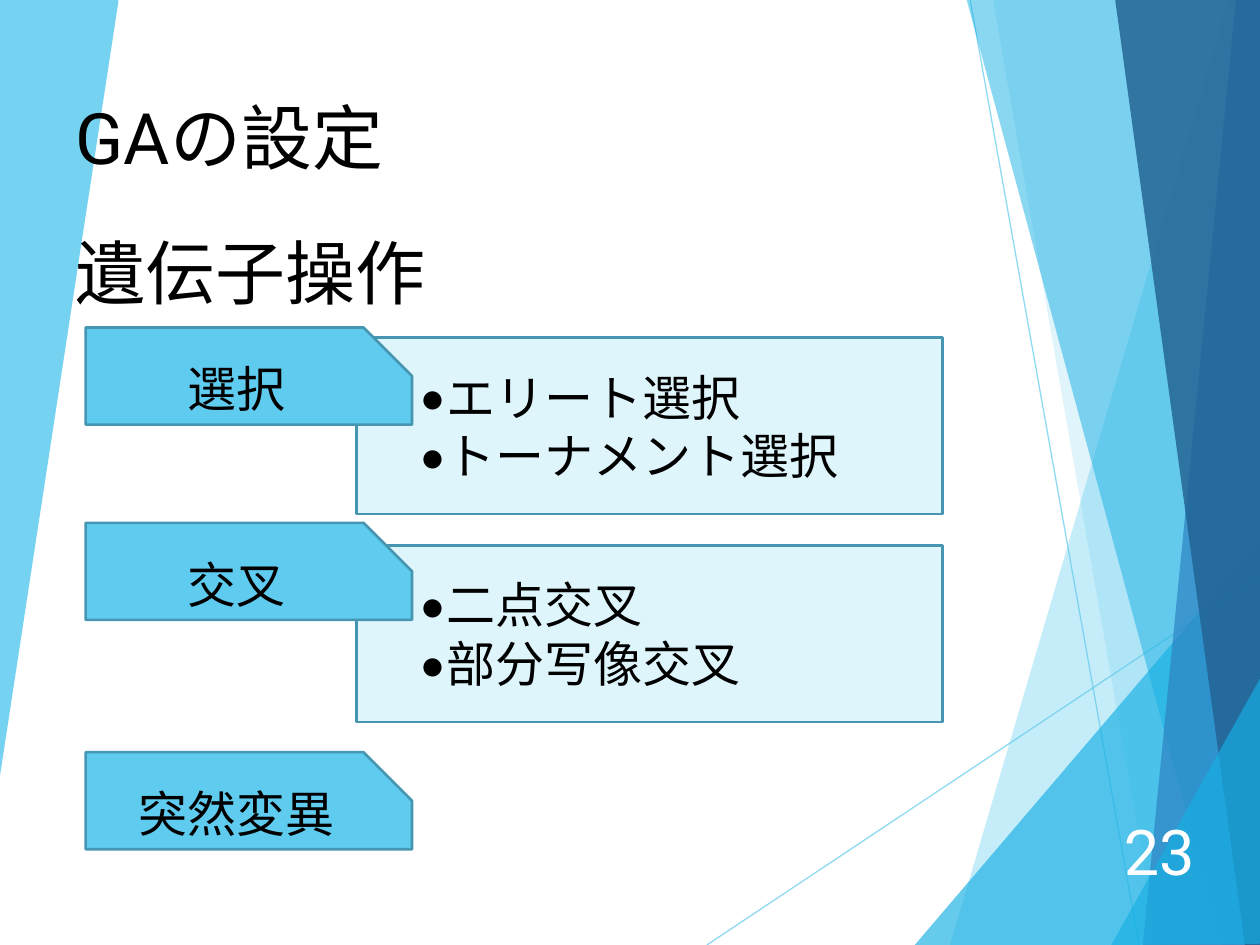
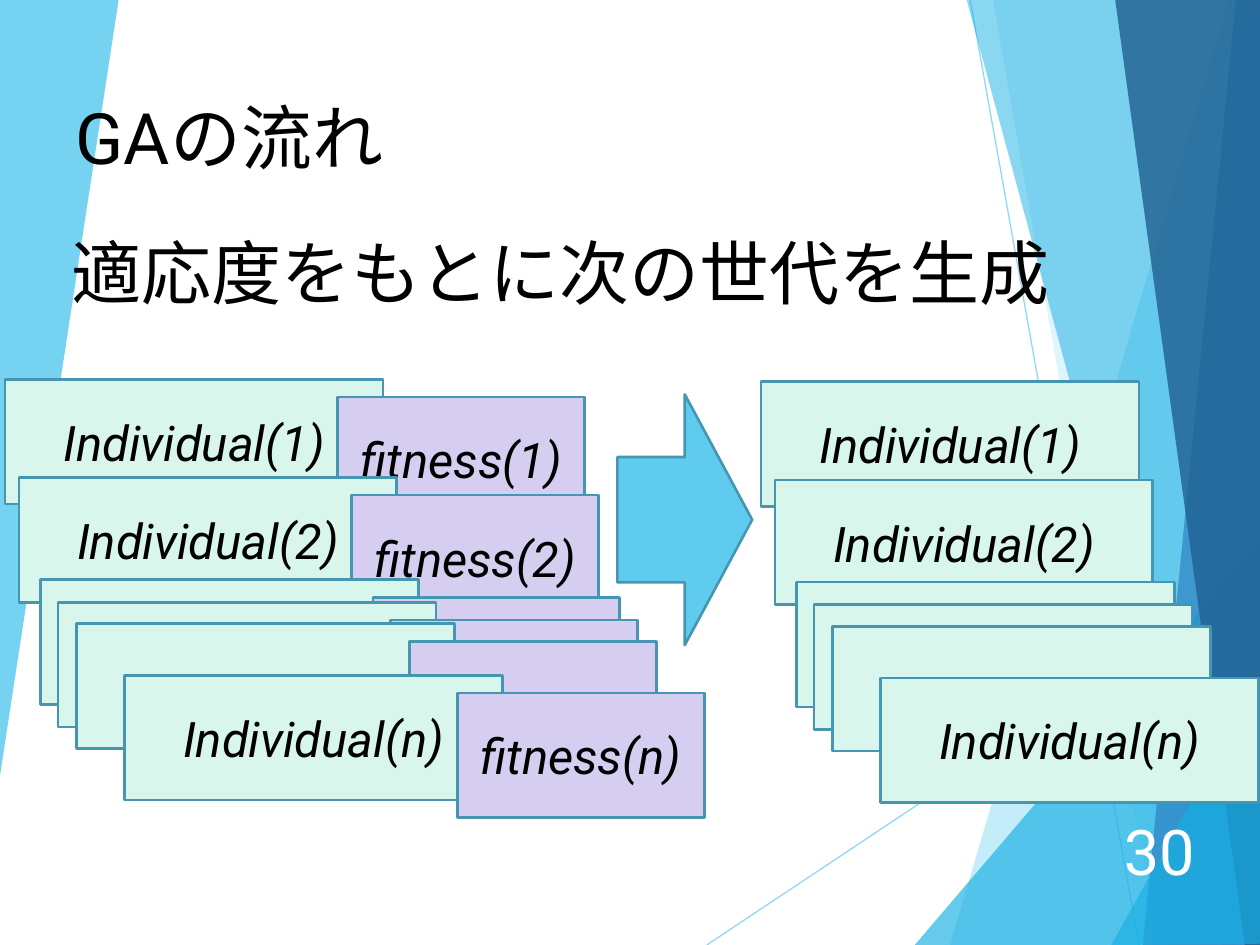
from dataclasses import dataclass
from typing import NamedTuple

from lxml.etree import SubElement
from pptx import Presentation
from pptx.dml.color import RGBColor
from pptx.enum.shapes import MSO_CONNECTOR, MSO_SHAPE
from pptx.enum.text import MSO_ANCHOR, MSO_AUTO_SIZE, PP_ALIGN
from pptx.oxml.ns import qn
from pptx.util import Inches, Pt

LEFT, CENTER, RIGHT = PP_ALIGN.LEFT, PP_ALIGN.CENTER, PP_ALIGN.RIGHT
TOP, MIDDLE = MSO_ANCHOR.TOP, MSO_ANCHOR.MIDDLE
RECT, SNIP, ARROW = MSO_SHAPE.RECTANGLE, MSO_SHAPE.SNIP_1_RECTANGLE, MSO_SHAPE.RIGHT_ARROW
STRAIGHT = MSO_CONNECTOR.STRAIGHT
TWO_LISTS, TITLE_ONLY = 3, 5


@dataclass(frozen=True)
class Theme:
    ink: str = "000000"
    white: str = "FFFFFF"
    sky: str = "5FCBEF"
    cyan: str = "17B0E4"
    blue: str = "2E83C3"
    navy: str = "226292"
    edge: str = "4696B1"
    pale: str = "DFF5FC"
    mint: str = "D9F6EC"
    lilac: str = "D5CEF0"
    font: str = "Roboto"
    list_font: str = "Lato"
    title: float = 40.5
    head: float = 40
    page: float = 36
    body: float = 28


THEME = Theme()


class Box(NamedTuple):
    x: float
    y: float
    w: float
    h: float


class Band(NamedTuple):
    color: str
    alpha: int
    points: tuple


class Ray(NamedTuple):
    start: tuple
    end: tuple


class Deck(NamedTuple):
    """A pile of overlapping cards that share a name."""
    name: str
    color: str
    x: float
    y: float
    w: float


RAYS = (Ray((5.61, 7.5), (10.01, 4.57)), Ray((7.7, 0), (9.04, 7.5)))
BANDS = (
    Band(THEME.sky, 36, ((9.75, 0), (7.54, 7.5), (10.02, 7.51), (10.01, 0.01))),
    Band(THEME.sky, 20, ((7.88, -0.01), (9.19, 7.5), (10.01, 7.5), (10.01, -0.01))),
    Band(THEME.cyan, 66, ((7.26, 7.5), (10, 4.29), (10.01, 7.5))),
    Band(THEME.cyan, 50, ((7.67, -0.01), (9.7, 7.5), (10.01, 7.49), (10.01, -0.01))),
    Band(THEME.blue, 70, ((9.81, -0.01), (9.07, 7.5), (10.01, 7.5), (10, -0.01))),
    Band(THEME.navy, 82, ((8.85, -0.01), (9.88, 7.5), (10.02, 7.5), (10, -0.01))),
    Band(THEME.cyan, 66, ((8.82, 7.5), (10.02, 5.35), (10.02, 7.49))),
    Band(THEME.sky, 85, ((-0.01, 0), (0.94, -0.01), (0.94, 0.01), (-0.01, 6.22))),
)

# Offset of each card in a pile, and the mark it carries
CARDS = (
    (0, 0, "1"), (0.11, 0.78, "2"), (0.28, 1.59, ""),
    (0.42, 1.77, ""), (0.57, 1.94, ""), (0.95, 2.35, "n"),
)


def place(shape, box: Box) -> None:
    shape.left, shape.top, shape.width, shape.height = map(Inches, box)


def write(frame, *lines: str, size: float = THEME.body, font: str = THEME.font,
          color: str = THEME.ink, align=LEFT, anchor=MIDDLE,
          italic: bool = False, bullet: str = "") -> None:
    frame.word_wrap = True
    frame.auto_size = MSO_AUTO_SIZE.NONE
    frame.vertical_anchor = anchor
    for i, line in enumerate(lines):
        para = frame.add_paragraph() if i else frame.paragraphs[0]
        if bullet:
            props = para._p.get_or_add_pPr()
            props.set("marL", str(Inches(0.53)))
            props.set("indent", str(Inches(-0.14)))
            SubElement(props, qn("a:buFont"), typeface=font)
            SubElement(props, qn("a:buChar"), char=bullet)
        para.alignment = align
        para.space_before = Pt(0)
        run = para.add_run()
        run.text = line
        run.font.size = Pt(size)
        run.font.name = font
        run.font.italic = italic
        run.font.color.rgb = RGBColor.from_string(color)
        SubElement(run._r.get_or_add_rPr(), qn("a:ea"), typeface=font)


def paint(shape, color: str) -> None:
    shape.fill.solid()
    shape.fill.fore_color.rgb = RGBColor.from_string(color)
    shape.line.color.rgb = RGBColor.from_string(THEME.edge)
    shape.line.width = Pt(1.5)


def block(slide, kind, box: Box, color: str, text: str = "", italic: bool = False):
    shape = slide.shapes.add_shape(kind, *map(Inches, box))
    shape.shadow.inherit = False
    paint(shape, color)
    if text:
        write(shape.text_frame, text, align=CENTER, italic=italic)
    return shape


def label(slide, box: Box, text: str, **style) -> None:
    write(slide.shapes.add_textbox(*map(Inches, box)).text_frame, text, **style)


def fade(shape, alpha: int) -> None:
    for color in shape.element.iter(qn("a:srgbClr")):
        SubElement(color, qn("a:alpha"), val=str(alpha * 1000))


def backdrop(deck, slide) -> None:
    """Draw the rays and bands as one group, then hand it to the master."""
    group = slide.shapes.add_group_shape()
    for ray in RAYS:
        line = group.shapes.add_connector(STRAIGHT, *map(Inches, ray.start + ray.end))
        line.line.color.rgb = RGBColor.from_string(THEME.sky)
        line.line.width = Pt(0.75)
        SubElement(line.element.spPr, qn("a:effectLst"))
        fade(line, 70)
    for band in BANDS:
        first, *rest = [tuple(map(Inches, point)) for point in band.points]
        pen = group.shapes.build_freeform(*first)
        pen.add_line_segments(rest, close=True)
        shape = pen.convert_to_shape()
        shape.shadow.inherit = False
        shape.fill.solid()
        shape.fill.fore_color.rgb = RGBColor.from_string(band.color)
        shape.line.fill.background()
        fade(shape, band.alpha)
    for number, props in enumerate(group.element.iter(qn("p:cNvPr")), 100):
        props.set("id", str(number))
    deck.slide_master.element.cSld.spTree.append(group.element)


def start(deck, layout: int, title: str, head: str, head_box: Box, page: str):
    """Add a slide with its title, heading and page number."""
    slide = deck.slides.add_slide(deck.slide_layouts[layout])
    place(slide.shapes.title, Box(0.5, 0.69, 3.81, 0.78))
    write(slide.shapes.title.text_frame, title, size=THEME.title, anchor=TOP)
    label(slide, head_box, head, size=THEME.head, anchor=TOP)
    label(slide, Box(8.74, 6.48, 0.84, 0.53), page,
          size=THEME.page, color=THEME.white, align=RIGHT)
    return slide


def setup(deck):
    slide = start(deck, TWO_LISTS, "GAの設定", "遺伝子操作",
                  Box(0.5, 1.77, 7.71, 0.77), "23")
    # Lists of methods
    lists = (("エリート選択", "トーナメント選択"), ("二点交叉", "部分写像交叉"))
    for i, lines in enumerate(lists):
        body = slide.placeholders[i + 1]
        place(body, Box(2.83, 2.68 + 1.65 * i, 4.65, 1.4))
        paint(body, THEME.pale)
        write(body.text_frame, *lines, font=THEME.list_font, bullet="•")
    # Operator tabs
    for y, name in ((2.6, "選択"), (4.15, "交叉"), (5.97, "突然変異")):
        tab = block(slide, SNIP, Box(0.68, y, 2.59, 0.77), THEME.sky, name)
        tab.adjustments[0] = 0.5
    return slide


def pile(slide, *decks: Deck) -> None:
    """Deal the cards of all decks in turn, so that they interleave."""
    for dx, dy, mark in CARDS:
        for deck in decks:
            block(slide, RECT, Box(deck.x + dx, deck.y + dy, deck.w, 0.99),
                  deck.color, f"{deck.name}({mark})" if mark else "", italic=True)


def flow(deck) -> None:
    slide = start(deck, TITLE_ONLY, "GAの流れ", "適応度をもとに次の世代を生成",
                  Box(0.47, 1.77, 8.27, 0.77), "30")
    block(slide, ARROW, Box(4.9, 3.13, 1.07, 1.99), THEME.sky)
    # Current generation with its fitness, then the next generation
    pile(slide, Deck("Individual", THEME.mint, 0.04, 3.01, 3),
         Deck("fitness", THEME.lilac, 2.68, 3.15, 1.96))
    pile(slide, Deck("Individual", THEME.mint, 6.04, 3.03, 3))


def main() -> None:
    deck = Presentation()
    deck.slide_width, deck.slide_height = Inches(10), Inches(7.5)
    backdrop(deck, setup(deck))
    flow(deck)
    deck.save("out.pptx")


if __name__ == "__main__":
    main()
